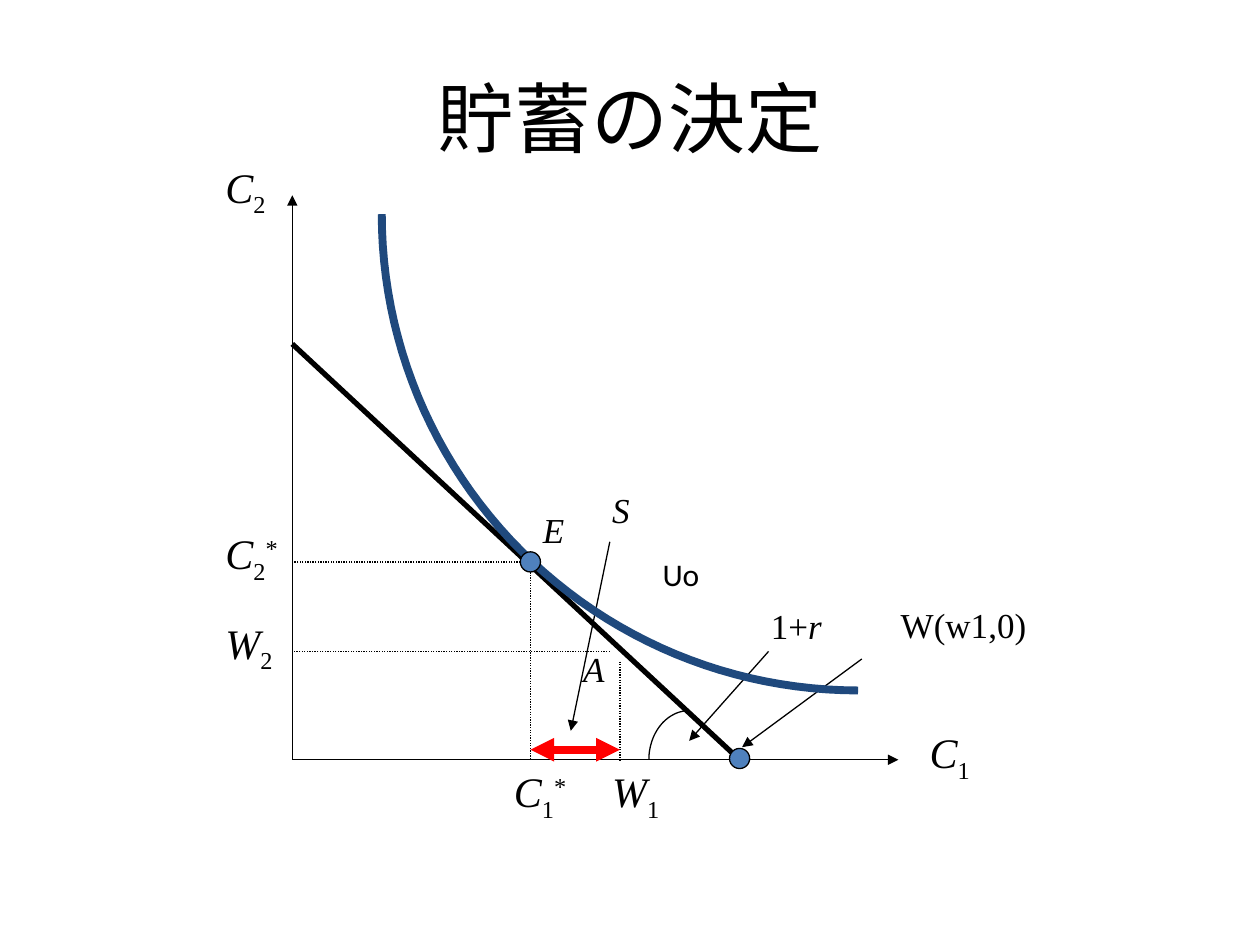
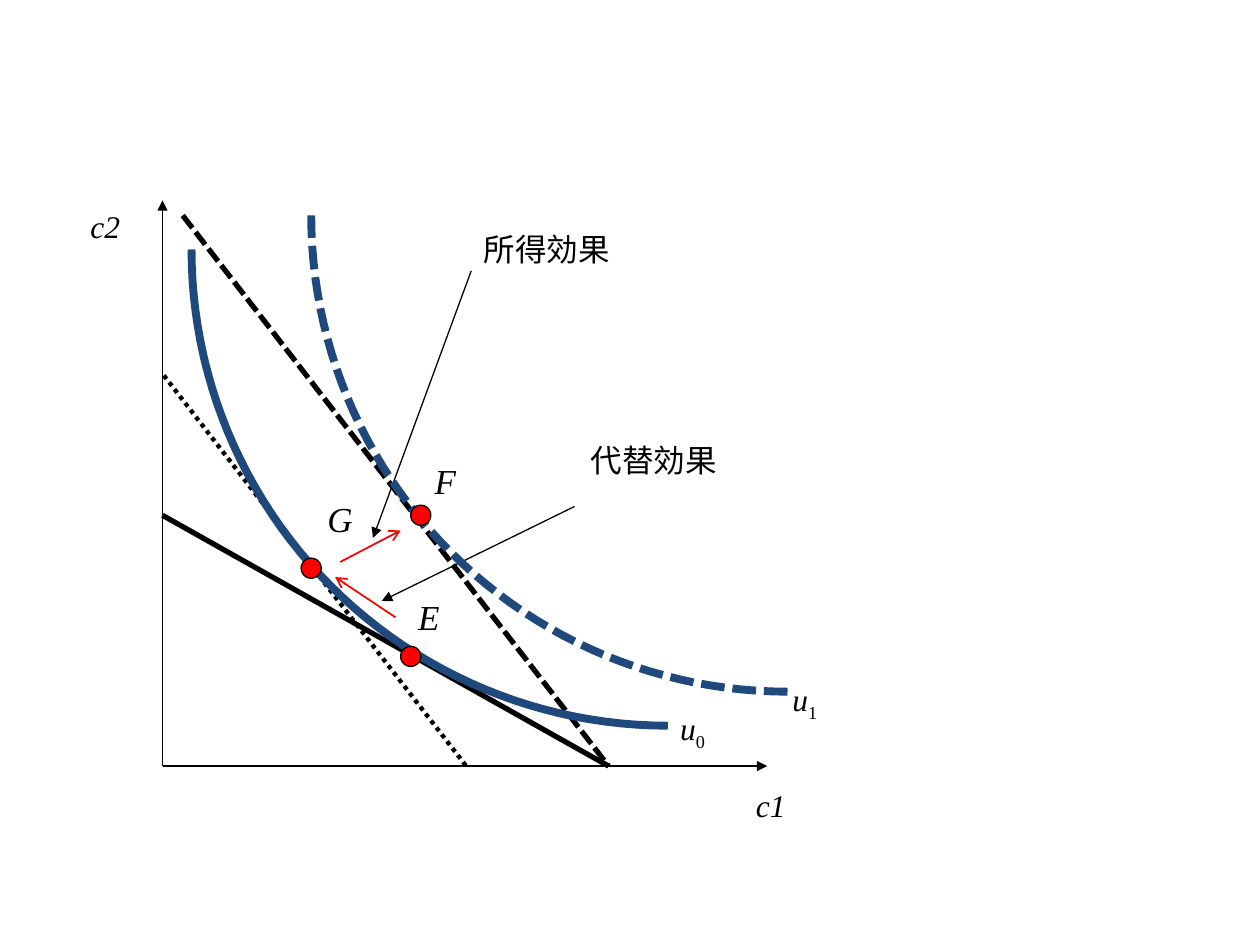
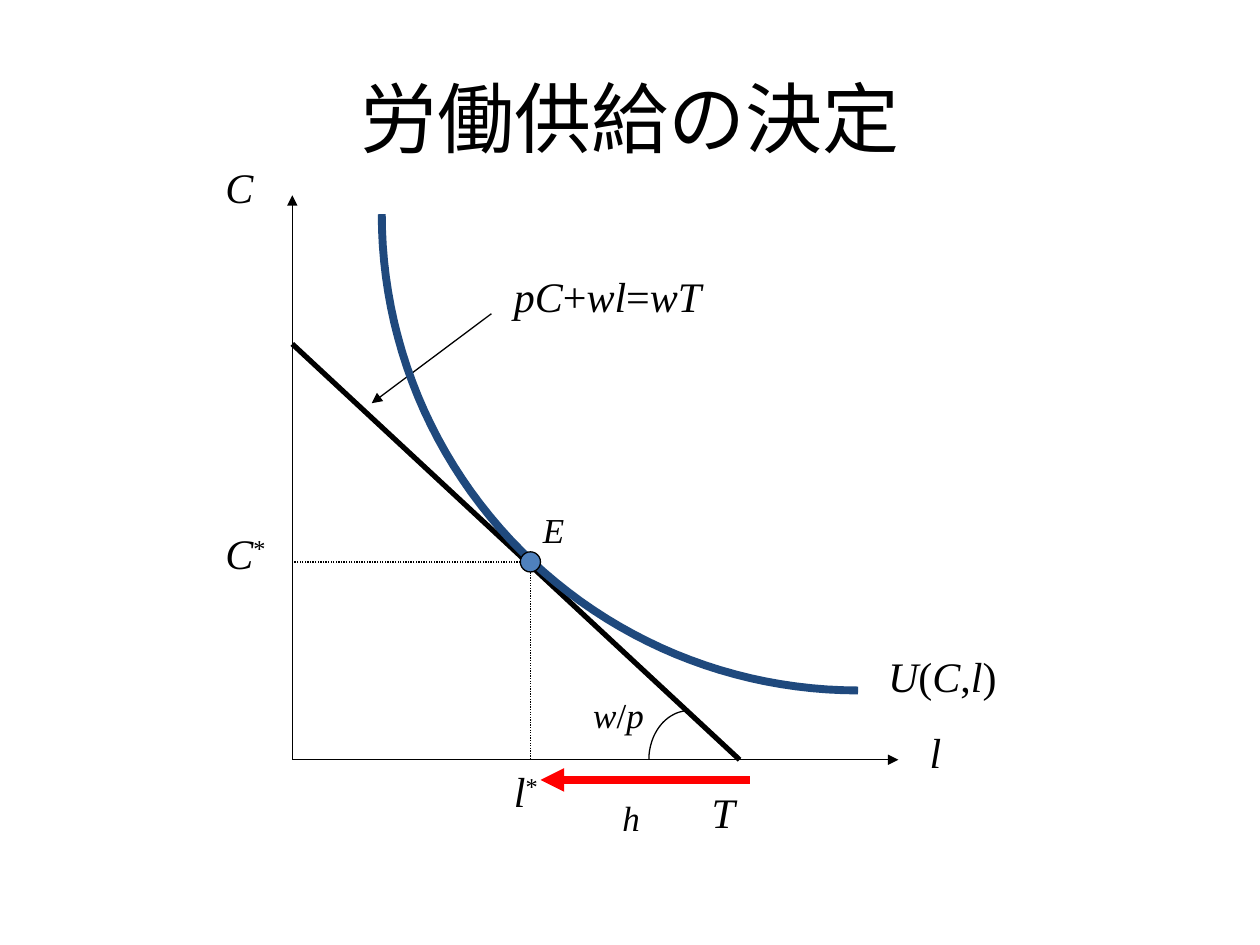
from math import cos, pi, sin

from lxml.etree import SubElement
from pptx import Presentation
from pptx.dml.color import RGBColor
from pptx.enum.dml import MSO_LINE
from pptx.enum.shapes import MSO_CONNECTOR, MSO_SHAPE
from pptx.enum.text import MSO_ANCHOR, MSO_AUTO_SIZE, PP_ALIGN
from pptx.oxml.ns import qn
from pptx.util import Inches, Pt

COLORS = {"ink": "000000", "curve": "1F497D", "point": "4F81BD", "accent": "FF0000"}
SERIF, SANS = "Times New Roman", "Calibri"
LABEL_HEIGHTS = {24: 0.5, 20: 0.43, 18: 0.4}
BASELINES = {"sub": "-25000", "super": "30000"}
POINT_SIZE = 0.16
CURVE_RADIUS = 3.78
CURVE_STEPS = 48

# color, width, dash, head, tail
LINE_STYLES = {
    "thin": ("ink", 0.75, None, None, None),
    "arrow": ("ink", 0.75, None, None, "triangle"),
    "guide": ("ink", 0.75, MSO_LINE.ROUND_DOT, None, None),
    "budget": ("ink", 3, None, None, None),
    "new budget": ("ink", 3, MSO_LINE.SQUARE_DOT, None, None),
    "compensated budget": ("ink", 2.5, MSO_LINE.ROUND_DOT, None, None),
    "utility": ("curve", 4.5, None, None, None),
    "new utility": ("curve", 4.5, MSO_LINE.SQUARE_DOT, None, None),
    "saving": ("accent", 4.5, None, "triangle", "triangle"),
    "work": ("accent", 4.5, None, "triangle", None),
    "effect": ("accent", 1, None, None, "arrow"),
}

# center x, center y, horizontal radius, vertical radius (negative rises), style
CHOICE_CURVES = [
    (5.47, 6.03, 0.32, -0.39, "thin"),
    (6.81, 1.7, CURVE_RADIUS, CURVE_RADIUS, "utility"),
]
# from x, from y, to x, to y, style
CHOICE_LINES = [
    (2.32, 6.03, 2.32, 1.55, "arrow"),
    (2.32, 6.03, 7.13, 6.03, "arrow"),
    (2.32, 2.73, 5.87, 6.03, "budget"),
    (4.21, 4.46, 2.32, 4.46, "guide"),
    (4.21, 4.46, 4.21, 6.03, "guide"),
]
CHOICE_POINTS = [(4.21, 4.46, "point")]
# left, top, width, size, options, runs
CHOICE_LABELS = [(4.21, 3.99, 0.32, 20, "spaced", [("E", "italic")])]

SLIDES = [
    {
        "title": "貯蓄の決定",
        "curves": CHOICE_CURVES,
        "lines": CHOICE_LINES + [
            (6.84, 5.23, 5.89, 5.93, "arrow"),
            (4.92, 5.25, 4.92, 6.03, "guide"),
            (4.84, 5.17, 2.32, 5.17, "guide"),
            (6.1, 5.17, 5.47, 5.88, "arrow"),
            (4.21, 5.95, 4.92, 5.95, "saving"),
            (4.84, 4.3, 4.53, 5.8, "arrow"),
        ],
        "points": CHOICE_POINTS + [(5.87, 6.02, "point")],
        "labels": CHOICE_LABELS + [
            (7.28, 5.72, 0.55, 24, "spaced", [("C", "italic"), ("1", "sub")]),
            (1.69, 1.23, 0.55, 24, "spaced", [("C", "italic"), ("2", "sub")]),
            (7.05, 4.74, 1.39, 20, "spaced", [("W(w1,0)", "")]),
            (6.02, 4.69, 0.63, 20, "spaced", [("1+", ""), ("r", "italic"), (" ", "large")]),
            (3.98, 6.03, 0.79, 24, "spaced", [("C", "italic"), ("1", "sub"), ("*", "super")]),
            (1.69, 4.14, 0.71, 24, "spaced", [("C", "italic"), ("2", "sub"), ("*", "super")]),
            (4.53, 5.09, 0.31, 20, "spaced", [("A", "italic")]),
            (4.76, 6.03, 0.71, 24, "spaced", [("W", "italic"), ("1", "sub")]),
            (1.69, 4.85, 0.63, 24, "spaced", [("W", "italic"), ("2", "sub")]),
            (4.76, 3.83, 0.32, 20, "spaced", [("S", "italic")]),
            (5.16, 4.36, 0.55, 18, "", [("Uo", "sans")]),
        ],
    },
    {
        "title": None,
        "curves": [
            (5.3, 1.98, CURVE_RADIUS, CURVE_RADIUS, "utility"),
            (6.25, 1.71, CURVE_RADIUS, CURVE_RADIUS, "new utility"),
        ],
        "lines": [
            (1.29, 6.08, 1.29, 1.59, "arrow"),
            (1.29, 6.08, 6.09, 6.08, "arrow"),
            (1.29, 4.09, 4.83, 6.08, "budget"),
            (3.74, 2.15, 2.96, 4.27, "arrow"),
            (4.56, 4.02, 3.03, 4.77, "arrow"),
            (1.45, 1.71, 4.83, 6.08, "new budget"),
            (1.3, 2.98, 3.7, 6.08, "compensated budget"),
            (3.14, 4.9, 2.66, 4.58, "effect"),
            (2.7, 4.46, 3.18, 4.21, "effect"),
        ],
        "points": [(3.26, 5.21, "accent"), (3.34, 4.09, "accent"), (2.47, 4.51, "accent")],
        "labels": [
            (3.22, 4.68, 0.32, 20, "spaced", [("E", "italic")]),
            (3.35, 3.6, 0.32, 20, "spaced", [("F", "italic")]),
            (2.5, 3.9, 0.32, 20, "spaced", [("G", "italic")]),
            (5.3, 5.58, 0.47, 18, "", [("u", "italic"), ("0", "sub")]),
            (6.19, 5.35, 0.47, 18, "", [("u", "italic"), ("1", "sub")]),
            (5.9, 6.19, 0.59, 18, "", [("c1", "italic")]),
            (0.62, 1.59, 0.6, 18, "", [("c2", "italic")]),
            (4.59, 3.45, 1.58, 18, "", [("代替効果", "sans")]),
            (3.74, 1.78, 1.2, 18, "unwrapped", [("所得効果", "sans")]),
        ],
    },
    {
        "title": "労働供給の決定",
        "curves": CHOICE_CURVES,
        "lines": CHOICE_LINES + [
            (3.9, 2.49, 2.95, 3.2, "arrow"),
            (4.29, 6.19, 5.95, 6.19, "work"),
        ],
        "points": CHOICE_POINTS,
        "labels": CHOICE_LABELS + [
            (7.28, 5.72, 0.55, 24, "spaced", [("l", "italic")]),
            (1.69, 1.23, 0.55, 24, "spaced", [("C", "italic")]),
            (3.98, 2.1, 1.89, 24, "spaced",
             [("pC", "italic"), ("+", ""), ("wl", "italic"), ("=", ""), ("wT", "italic")]),
            (4.61, 5.4, 0.63, 20, "spaced",
             [("w", "italic"), ("/", ""), ("p", "italic"), (" ", "large")]),
            (3.98, 6.03, 0.55, 24, "spaced", [("l", "italic"), ("*", "super")]),
            (1.69, 4.14, 0.71, 24, "spaced", [("C", "italic"), ("*", "super")]),
            (5.55, 6.19, 0.39, 24, "spaced", [("T", "italic")]),
            (4.84, 6.27, 0.32, 20, "spaced", [("h", "italic")]),
            (6.95, 5.11, 1.06, 24, "unwrapped",
             [("U", "italic"), ("(", ""), ("C", "italic"), (",", ""), ("l", "italic"), (")", "")]),
        ],
    },
]


def color(name):
    return RGBColor.from_string(COLORS[name])


def format_line(line, style):
    color_name, width, dash, head, tail = LINE_STYLES[style]
    line.fill.solid()
    line.fill.fore_color.rgb = color(color_name)
    line.width = Pt(width)
    if dash:
        line.dash_style = dash
    for tag, kind in (("a:headEnd", head), ("a:tailEnd", tail)):
        if kind:
            SubElement(line._get_or_add_ln(), qn(tag), type=kind)


def add_run(paragraph, text, size, style, font_name=SERIF):
    run = paragraph.add_run()
    run.text = text
    run.font.name = font_name
    run.font.size = Pt(size)
    run.font.color.rgb = color("ink")
    run.font.italic = style == "italic"
    if style in BASELINES:
        run._r.get_or_add_rPr().set("baseline", BASELINES[style])


def add_title(slide, text):
    title = slide.shapes.title
    title.left, title.top = Inches(0.5), Inches(0.3)
    title.width, title.height = Inches(9), Inches(1.25)
    title.text_frame.vertical_anchor = MSO_ANCHOR.MIDDLE
    paragraph = title.text_frame.paragraphs[0]
    paragraph.alignment = PP_ALIGN.CENTER
    add_run(paragraph, text, 44, "", SANS)


def add_curve(slide, center_x, center_y, radius_x, radius_y, style):
    angles = [pi / 2 * step / CURVE_STEPS for step in range(CURVE_STEPS + 1)]
    points = [(Inches(center_x - radius_x * sin(angle)), Inches(center_y + radius_y * cos(angle)))
              for angle in angles]
    builder = slide.shapes.build_freeform(*points[0])
    builder.add_line_segments(points[1:], close=False)
    shape = builder.convert_to_shape()
    shape.shadow.inherit = False
    shape.fill.background()
    format_line(shape.line, style)


def add_line(slide, from_x, from_y, to_x, to_y, style):
    connector = slide.shapes.add_connector(
        MSO_CONNECTOR.STRAIGHT, Inches(from_x), Inches(from_y), Inches(to_x), Inches(to_y))
    format_line(connector.line, style)
    SubElement(connector._element.spPr, qn("a:effectLst"))


def add_point(slide, center_x, center_y, fill):
    shape = slide.shapes.add_shape(
        MSO_SHAPE.OVAL, Inches(center_x - POINT_SIZE / 2), Inches(center_y - POINT_SIZE / 2),
        Inches(POINT_SIZE), Inches(POINT_SIZE))
    shape.shadow.inherit = False
    shape.fill.solid()
    shape.fill.fore_color.rgb = color(fill)
    format_line(shape.line, "thin")


def add_label(slide, left, top, width, size, options, runs):
    height = max(LABEL_HEIGHTS[24 if style == "large" else size] for text, style in runs)
    box = slide.shapes.add_textbox(Inches(left), Inches(top), Inches(width), Inches(height))
    frame = box.text_frame
    frame.word_wrap = options != "unwrapped"
    frame.auto_size = MSO_AUTO_SIZE.SHAPE_TO_FIT_TEXT
    paragraph = frame.paragraphs[0]
    if options == "spaced":
        spacing = SubElement(paragraph._p.get_or_add_pPr(), qn("a:spcBef"))
        SubElement(spacing, qn("a:spcPct"), val="50000")
    for text, style in runs:
        add_run(paragraph, text, 24 if style == "large" else size, style,
                SANS if style == "sans" else SERIF)


presentation = Presentation()
presentation.slide_width, presentation.slide_height = Inches(10), Inches(7.5)
title_layout, blank_layout = presentation.slide_layouts[5], presentation.slide_layouts[6]

for content in SLIDES:
    slide = presentation.slides.add_slide(title_layout if content["title"] else blank_layout)
    if content["title"]:
        add_title(slide, content["title"])
    for line in content["lines"]:
        add_line(slide, *line)
    for curve in content["curves"]:
        add_curve(slide, *curve)
    for point in content["points"]:
        add_point(slide, *point)
    for label in content["labels"]:
        add_label(slide, *label)

presentation.save("out.pptx")
